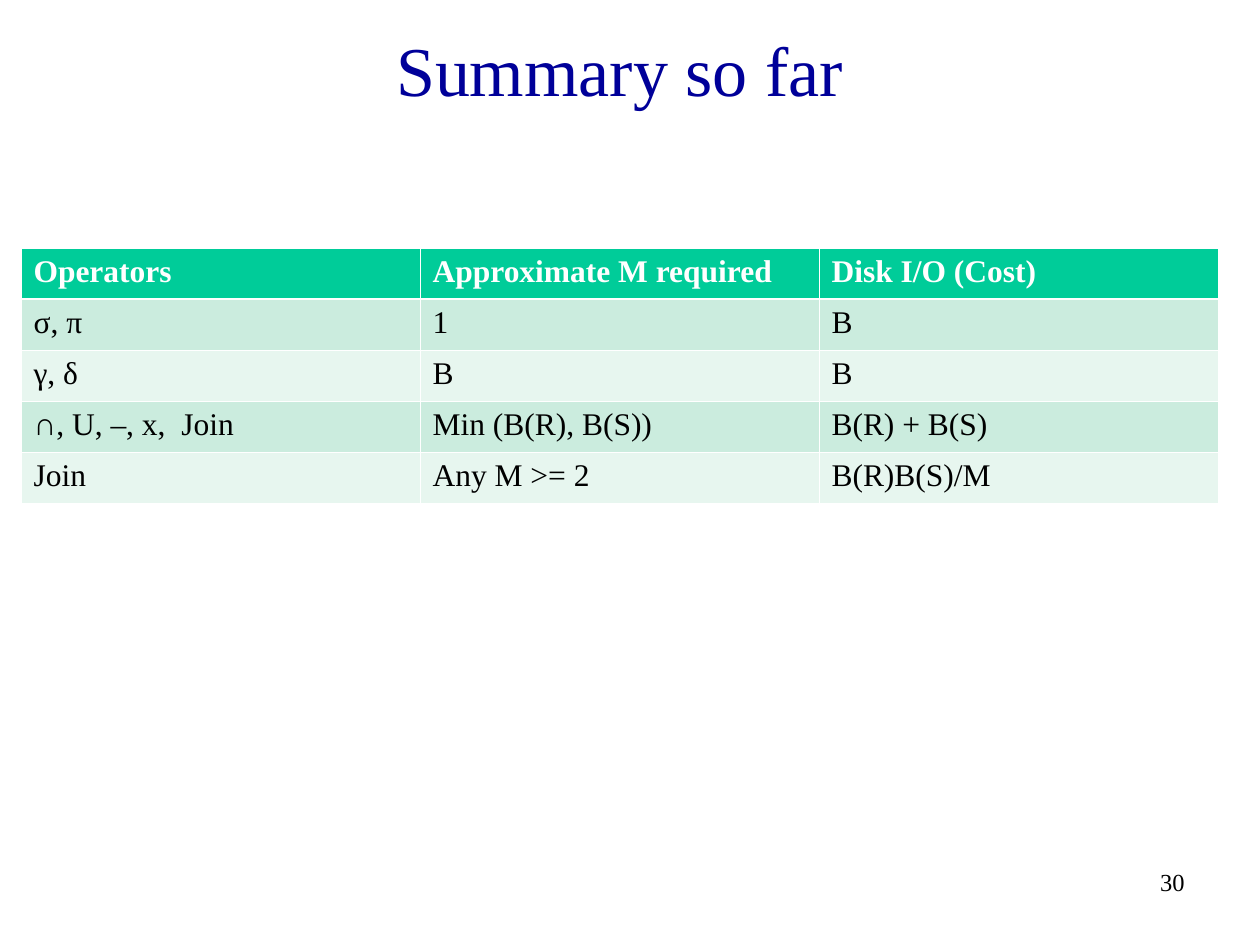
import pptx
import pptx.util
import pptx.dml.color
import pptx.enum.text
import pptx.oxml
import pptx.oxml.ns

TITLE = "Summary so far"
PAGE_NUMBER = "30"
ROWS = [
    ("Operators", "Approximate M required", "Disk I/O (Cost)"),
    ("σ, π", "1", "B"),
    ("γ, δ", "B", "B"),
    ("∩, U, –, x,  Join", "Min (B(R), B(S))", "B(R) + B(S)"),
    ("Join", "Any M >= 2", "B(R)B(S)/M"),
]
COLORS = {
    "title": "000099",
    "text": "000000",
    "white": "FFFFFF",
    "header": "00CC99",
    "odd": "CBECDE",
    "even": "E7F6EF",
}
FONT = "Times New Roman"
WIDTH, HEIGHT = 10, 7.5
MARGIN = WIDTH / 60
CONTENT_WIDTH = 0.95 * WIDTH
ROW_HEIGHT = 0.054 * HEIGHT
THIN, THICK = 0.45, 1.47
ALIGN = pptx.enum.text.PP_ALIGN
ANCHOR = pptx.enum.text.MSO_ANCHOR


def place(shape, left, top, width, height):
    box = {"left": left, "top": top, "width": width, "height": height}
    for name, value in box.items():
        setattr(shape, name, pptx.util.Inches(value))


def write(text_frame, text, size, color, alignment, bold=False):
    paragraph = text_frame.paragraphs[0]
    paragraph.alignment = alignment
    run = paragraph.add_run()
    run.text = text
    formats = {"name": FONT, "size": pptx.util.Pt(size), "bold": bold}
    for name, value in formats.items():
        setattr(run.font, name, value)
    run.font.color.rgb = pptx.dml.color.RGBColor.from_string(COLORS[color])


def add_borders(cell, widths):
    properties = cell._tc.get_or_add_tcPr()
    for side, width in widths.items():
        properties.append(pptx.oxml.parse_xml(
            f'<a:{side} {pptx.oxml.ns.nsdecls("a")} w="{pptx.util.Pt(width)}">'
            f'<a:solidFill><a:srgbClr val="{COLORS["white"]}"/></a:solidFill>'
            f'</a:{side}>'))


def add_title(slide):
    title = slide.shapes.title
    place(title, MARGIN, MARGIN, CONTENT_WIDTH, 0.1 * HEIGHT)
    title.text_frame.vertical_anchor = ANCHOR.MIDDLE
    write(title.text_frame, TITLE, 40, "title", ALIGN.CENTER)


def add_operator_table(slide):
    frame = slide.shapes.add_table(
        len(ROWS), len(ROWS[0]), *map(pptx.util.Inches, (
            MARGIN, 1.97, CONTENT_WIDTH, ROW_HEIGHT * len(ROWS))))
    for row_index, row in enumerate(ROWS):
        header = row_index == 0
        fill = "header" if header else ("even", "odd")[row_index % 2]
        widths = {"lnL": THIN, "lnR": THIN,
                  "lnT": THICK if row_index == 1 else THIN,
                  "lnB": THICK if header else THIN}
        for column_index, text in enumerate(row):
            cell = frame.table.cell(row_index, column_index)
            add_borders(cell, widths)
            cell.fill.solid()
            cell.fill.fore_color.rgb = pptx.dml.color.RGBColor.from_string(COLORS[fill])
            write(cell.text_frame, text, 18, "white" if header else "text",
                  ALIGN.LEFT, header)


def add_page_number(slide):
    box = slide.shapes.add_textbox(0, 0, 0, 0)
    place(box, 7.42, 6.83, 2.08, 0.5)
    box.text_frame.word_wrap = True
    write(box.text_frame, PAGE_NUMBER, 14, "text", ALIGN.RIGHT)


def main():
    presentation = pptx.Presentation()
    presentation.slide_width = pptx.util.Inches(WIDTH)
    presentation.slide_height = pptx.util.Inches(HEIGHT)
    slide = presentation.slides.add_slide(presentation.slide_layouts[5])
    add_title(slide)
    add_operator_table(slide)
    add_page_number(slide)
    presentation.save("out.pptx")


if __name__ == "__main__":
    main()
